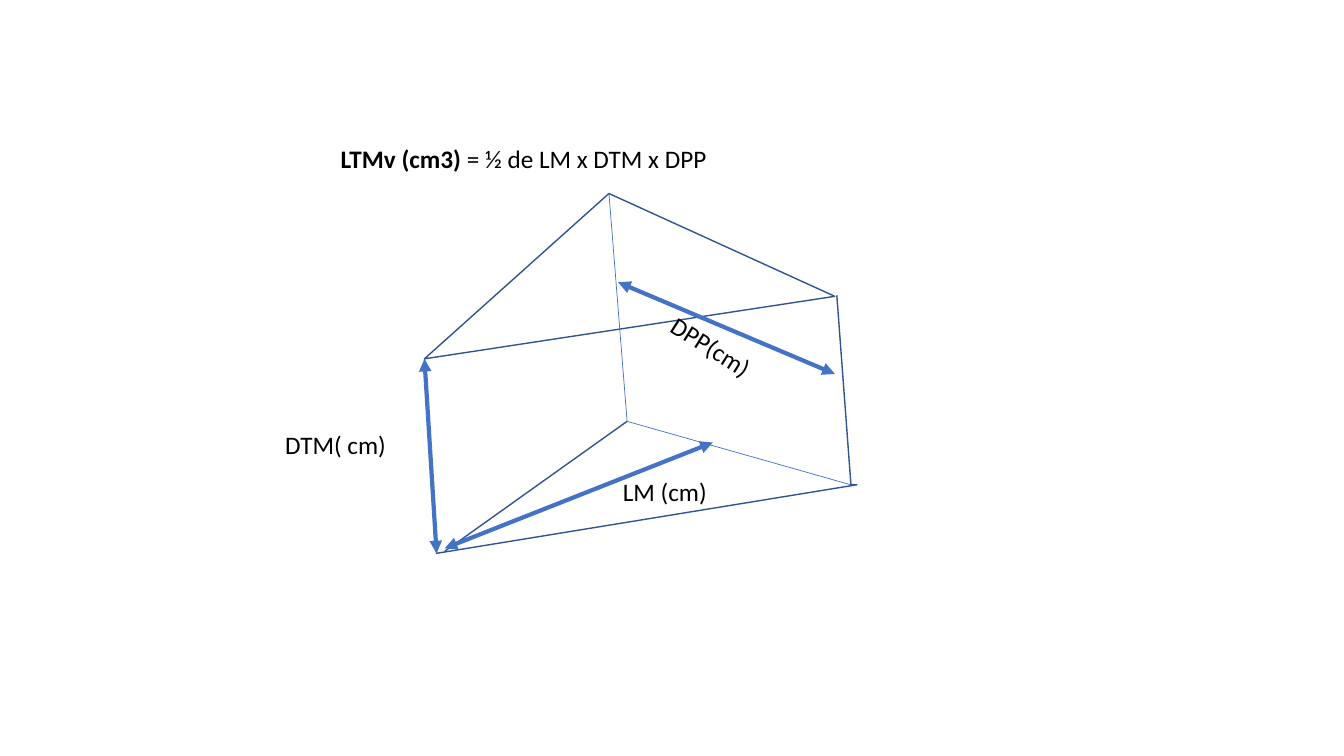
from dataclasses import dataclass

from lxml import etree
from pptx import Presentation
from pptx import util as u
from pptx.dml.color import RGBColor
from pptx.enum import text
from pptx.enum import shapes
from pptx.oxml.ns import qn


@dataclass(frozen=True)
class Theme:
    edge: str = "325491"
    accent: str = "4472C4"
    ink: str = "000000"
    font: str = "Calibri"
    label_size: float = 18
    hidden_width: float = 0.5
    edge_width: float = 1
    arrow_width: float = 3


class PrismSlide:
    def __init__(self, slide, theme):
        self.shapes = slide.shapes
        self.theme = theme

    def outline(self, points, close=False):
        """Draw an unfilled edge path through points given in inches."""
        corners = [(u.Inches(x), u.Inches(y)) for x, y in points]
        builder = self.shapes.build_freeform(*corners[0])
        builder.add_line_segments(corners[1:], close=close)
        edge = builder.convert_to_shape()
        edge.shadow.inherit = False
        edge.fill.background()
        edge.line.color.rgb = RGBColor.from_string(self.theme.edge)
        edge.line.width = u.Pt(self.theme.edge_width)

    def line(self, start, end, width):
        ends = [u.Inches(value) for value in (*start, *end)]
        connector = self.shapes.add_connector(shapes.MSO_CONNECTOR.STRAIGHT, *ends)
        connector.line.color.rgb = RGBColor.from_string(self.theme.accent)
        connector.line.width = u.Pt(width)
        etree.SubElement(connector._element.spPr, qn("a:effectLst"))
        return connector

    def hidden_edge(self, start, end):
        self.line(start, end, self.theme.hidden_width)

    def dimension(self, start, end):
        """Draw a double-headed measuring arrow."""
        arrow = self.line(start, end, self.theme.arrow_width)
        for tag in ("a:headEnd", "a:tailEnd"):
            etree.SubElement(arrow.line._get_or_add_ln(), qn(tag), type="triangle")

    def label(self, left, top, width, *runs, rotation=0):
        """Add a one-line label; each run is a (wording, bold) pair."""
        box = self.shapes.add_textbox(*map(u.Inches, (left, top, width, 0.4)))
        box.rotation = rotation
        frame = box.text_frame
        frame.word_wrap = True
        frame.vertical_anchor = text.MSO_ANCHOR.TOP
        for wording, bold in runs:
            run = frame.paragraphs[0].add_run()
            run.text = wording
            run.font.name = self.theme.font
            run.font.size = u.Pt(self.theme.label_size)
            run.font.bold = bold
            run.font.color.rgb = RGBColor.from_string(self.theme.ink)


def main():
    deck = Presentation()
    deck.slide_width, deck.slide_height = u.Inches(13.33), u.Inches(7.5)
    blank = deck.slide_layouts[6]
    prism = PrismSlide(deck.slides.add_slide(blank), Theme())

    top_back, top_right, top_left = (6.04, 1.92), (8.28, 2.94), (4.21, 3.56)
    base_back, base_right, base_left = (6.22, 4.18), (8.44, 4.81), (4.33, 5.49)

    prism.outline([top_back, top_right, top_left], close=True)
    prism.outline([top_left, base_left, (8.5, 4.81), base_right, (8.3, 2.93)])
    prism.hidden_edge(top_back, base_back)
    prism.outline([base_back, (4.41, 5.47)], close=True)
    prism.hidden_edge(base_back, base_right)

    prism.label(2.73, 4.21, 2, ("DTM( cm)", False))
    prism.dimension(top_left, base_left)
    prism.dimension((7.07, 4.39), (4.41, 5.44))
    prism.label(6.08, 4.68, 1.29, ("LM (cm)", False))
    prism.dimension((6.13, 2.8), (8.28, 3.71))
    prism.label(6.47, 3.41, 1.72, ("DPP(cm)", False), rotation=32.1)
    prism.label(3.28, 1.37, 5.28,
                ("LTMv (cm3) ", True), ("= ½ de LM x DTM x DPP", False))

    deck.save("out.pptx")


if __name__ == "__main__":
    main()
